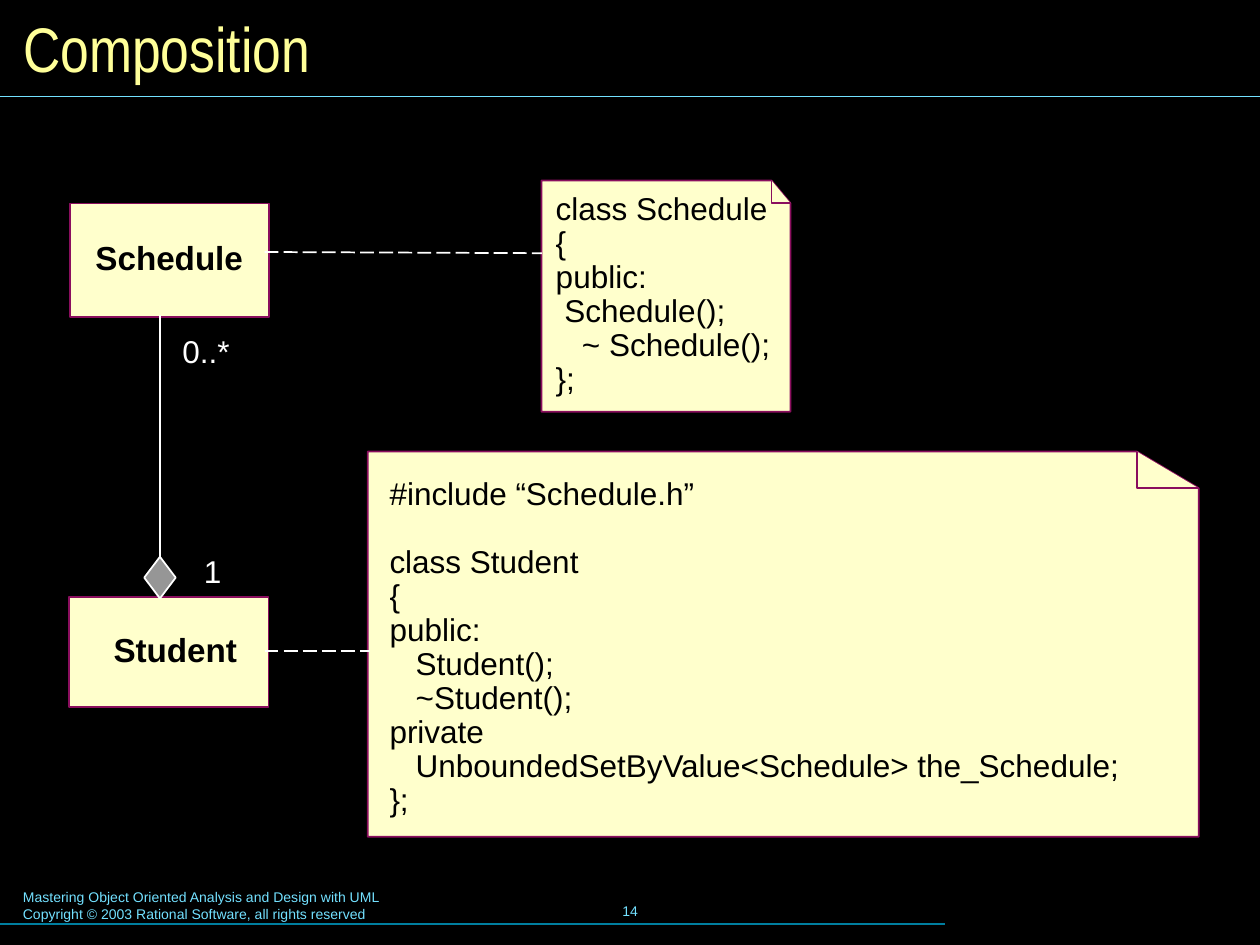
from dataclasses import dataclass

from lxml import etree
from pptx import Presentation, util as u
from pptx.dml.color import RGBColor
from pptx.enum import dml, shapes, text
from pptx.oxml.ns import qn


@dataclass(frozen=True)
class Theme:
    background: str = "000000"
    title: str = "FFFF99"
    accent: str = "73E1FF"
    rule: str = "007E9F"
    paper: str = "FFFFCC"
    border: str = "8A0E5E"
    ink: str = "000000"
    white: str = "FFFFFF"
    diamond: str = "969696"
    font: str = "Arial"
    title_font: str = "Arial Narrow"
    title_size: float = 36
    class_size: float = 19
    code_size: float = 18
    footer_size: float = 8
    code_spacing: float = 0.9
    code_line: float = 19.4


THEME = Theme()

TITLE = "Composition"
FOOTER = [
    "Mastering Object Oriented Analysis and Design with UML",
    "Copyright © 2003 Rational Software, all rights reserved",
]
PAGE_NUMBER = "14"

CLASSES = [
    ("Schedule", (39.9, 116.3, 113.8, 64.8), (47.5, 134.9, 98.6, 28.1)),
    ("Student", (39.6, 341.3, 113.8, 62.6), (57.8, 358.6, 85, 28.1)),
]
NOTES = [
    {
        "sheet": (309.4, 103.2, 451.7, 235.2),
        "fold": (10.8, 12.9),
        "text": (310.5, 107, 150, 123.1),
        "code": [
            "class Schedule",
            "{",
            "public:",
            " Schedule();",
            "   ~ Schedule();",
            "};",
        ],
    },
    {
        "sheet": (210.2, 258, 685, 478.2),
        "fold": (35.4, 21),
        "text": (215.5, 269.8, 445, 200.9),
        "code": [
            "#include “Schedule.h”",
            "",
            "class Student",
            "{",
            "public:",
            "   Student();",
            "   ~Student();",
            "private",
            "   UnboundedSetByValue<Schedule> the_Schedule;",
            "};",
        ],
    },
]
MULTIPLICITIES = [("0..*", (97.2, 186.1, 72, 28.8)), ("1", (109.4, 311.8, 72, 28.8))]
NOTE_LINKS = [(151.2, 144, 309.6, 144.7), (151.2, 372.2, 211.7, 372.2)]
DIAMOND = (82.4, 318.2, 18, 23.8)
RULES = [((0, 528, 540, 528), THEME.rule), ((0, 55, 720, 55), THEME.accent)]


def points(values):
    return [u.Pt(value) for value in values]


def rgb(value):
    return RGBColor.from_string(value)


def paint(shape, fill, border):
    shape.shadow.inherit = False
    shape.fill.solid()
    shape.fill.fore_color.rgb = rgb(fill)
    shape.line.color.rgb = rgb(border)
    shape.line.width = u.Pt(1)


def style(para, size, color, font=THEME.font, bold=False):
    para.font.size = u.Pt(size)
    para.font.name = font
    para.font.bold = bold
    para.font.color.rgb = rgb(color)


def add_text(page, place, lines, size, color, wrap=True, bold=False, spacing=None):
    box = page.shapes.add_textbox(*points(place))
    frame = box.text_frame
    frame.word_wrap = wrap
    gap = 0
    para = frame.paragraphs[0]
    for index, line in enumerate(lines):
        if not line:
            gap += THEME.code_line
            continue
        if index:
            para = frame.add_paragraph()
        para.text = line
        if gap:
            para.space_before = u.Pt(gap)
            gap = 0
        if spacing:
            para.line_spacing = spacing
        style(para, size, color, bold=bold)
    return frame


def add_line(page, ends, color, width, dashed=False):
    line = page.shapes.add_connector(shapes.MSO_CONNECTOR.STRAIGHT, *points(ends))
    line.line.color.rgb = rgb(color)
    line.line.width = u.Pt(width)
    if dashed:
        line.line.dash_style = dml.MSO_LINE.LONG_DASH
    etree.SubElement(line._element.spPr, qn("a:effectLst"))


def add_outline(page, corners, close):
    start, *rest = [points(corner) for corner in corners]
    builder = page.shapes.build_freeform(*start)
    builder.add_line_segments(rest, close=close)
    paint(builder.convert_to_shape(), THEME.paper, THEME.border)


def add_note(page, note):
    left, top, right, bottom = note["sheet"]
    fold_x, fold_y = right - note["fold"][0], top + note["fold"][1]
    sheet = [(right, bottom), (left, bottom), (left, top), (fold_x, top), (right, fold_y)]
    add_outline(page, sheet, True)
    add_outline(page, [(right, fold_y), (fold_x, fold_y), (fold_x, top)], False)
    add_text(page, note["text"], note["code"], THEME.code_size, THEME.ink,
             spacing=THEME.code_spacing)


def add_title(page):
    title = page.shapes.title
    title.left, title.top, title.width, title.height = points((6, 6.2, 708.5, 41.8))
    frame = title.text_frame
    frame.text = TITLE
    frame.vertical_anchor = text.MSO_ANCHOR.MIDDLE
    frame.auto_size = text.MSO_AUTO_SIZE.NONE
    para = frame.paragraphs[0]
    para.alignment = text.PP_ALIGN.LEFT
    style(para, THEME.title_size, THEME.title, THEME.title_font)


def main():
    deck = Presentation()
    deck.slide_width, deck.slide_height = points((720, 540))
    page = deck.slides.add_slide(deck.slide_layouts[5])
    page.background.fill.solid()
    page.background.fill.fore_color.rgb = rgb(THEME.background)

    add_title(page)
    add_text(page, (6, 504.2, 367.2, 26.6), FOOTER, THEME.footer_size, THEME.accent)
    number = add_text(page, (246, 502.6, 228.2, 36), [PAGE_NUMBER],
                      THEME.footer_size, THEME.accent, wrap=False)
    number.vertical_anchor = text.MSO_ANCHOR.MIDDLE
    number.paragraphs[0].alignment = text.PP_ALIGN.CENTER
    for ends, color in RULES:
        add_line(page, ends, color, 0.75)

    for name, place, label in CLASSES:
        box = page.shapes.add_shape(shapes.MSO_SHAPE.RECTANGLE, *points(place))
        paint(box, THEME.paper, THEME.border)
        add_text(page, label, [name], THEME.class_size, THEME.ink,
                 wrap=False, bold=True, spacing=THEME.code_spacing)
    for note in NOTES:
        add_note(page, note)
    for ends in NOTE_LINKS:
        add_line(page, ends, THEME.white, 1, dashed=True)

    diamond = page.shapes.add_shape(shapes.MSO_SHAPE.DIAMOND, *points(DIAMOND))
    paint(diamond, THEME.diamond, THEME.white)
    left, top, width, _ = DIAMOND
    middle = left + width / 2
    add_line(page, (middle, top, middle, 180), THEME.white, 1)
    for label, place in MULTIPLICITIES:
        add_text(page, place, [label], THEME.code_size, THEME.white)

    deck.save("out.pptx")


if __name__ == "__main__":
    main()
